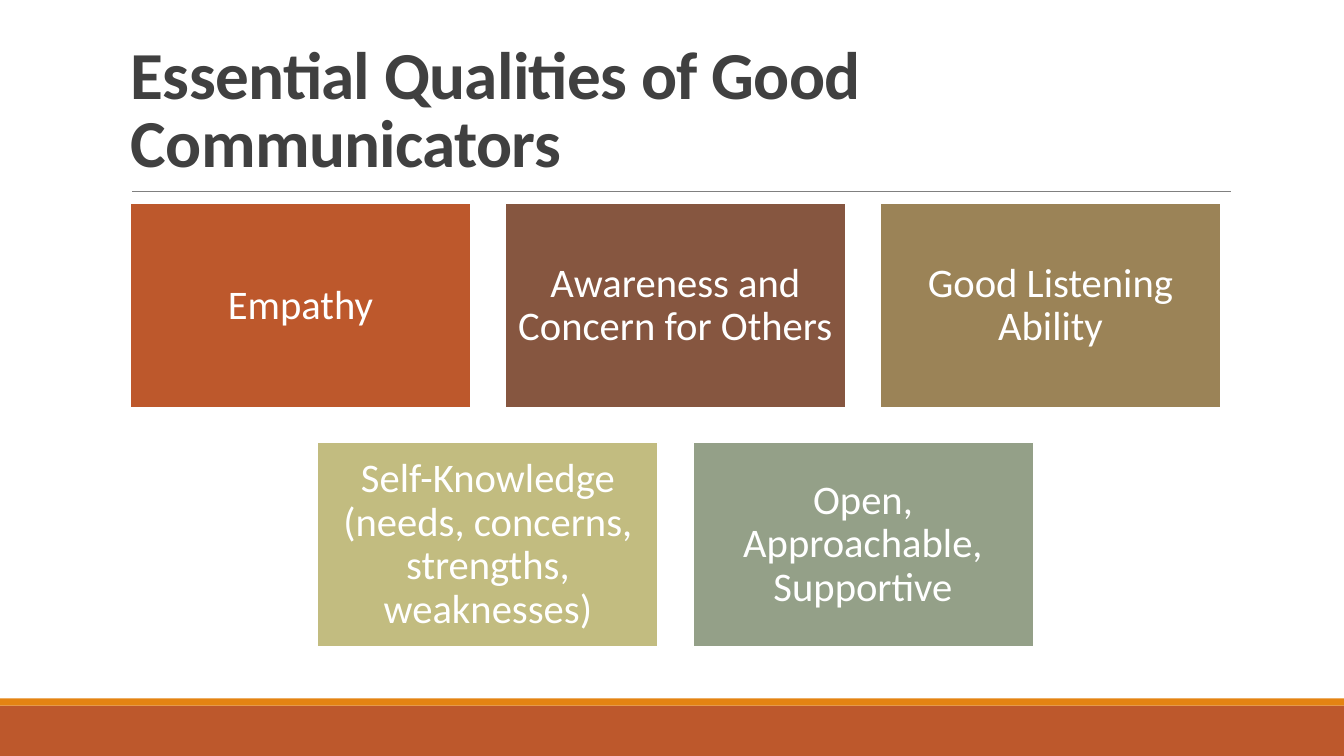
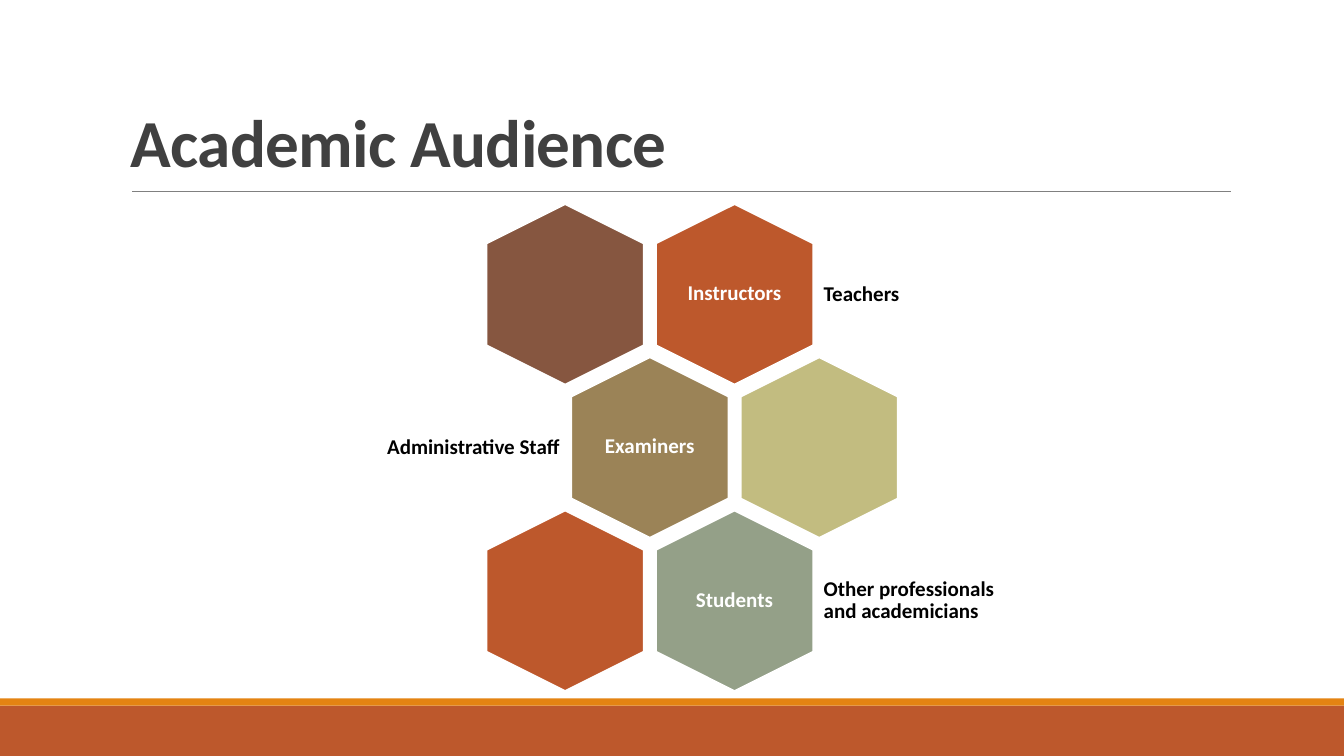
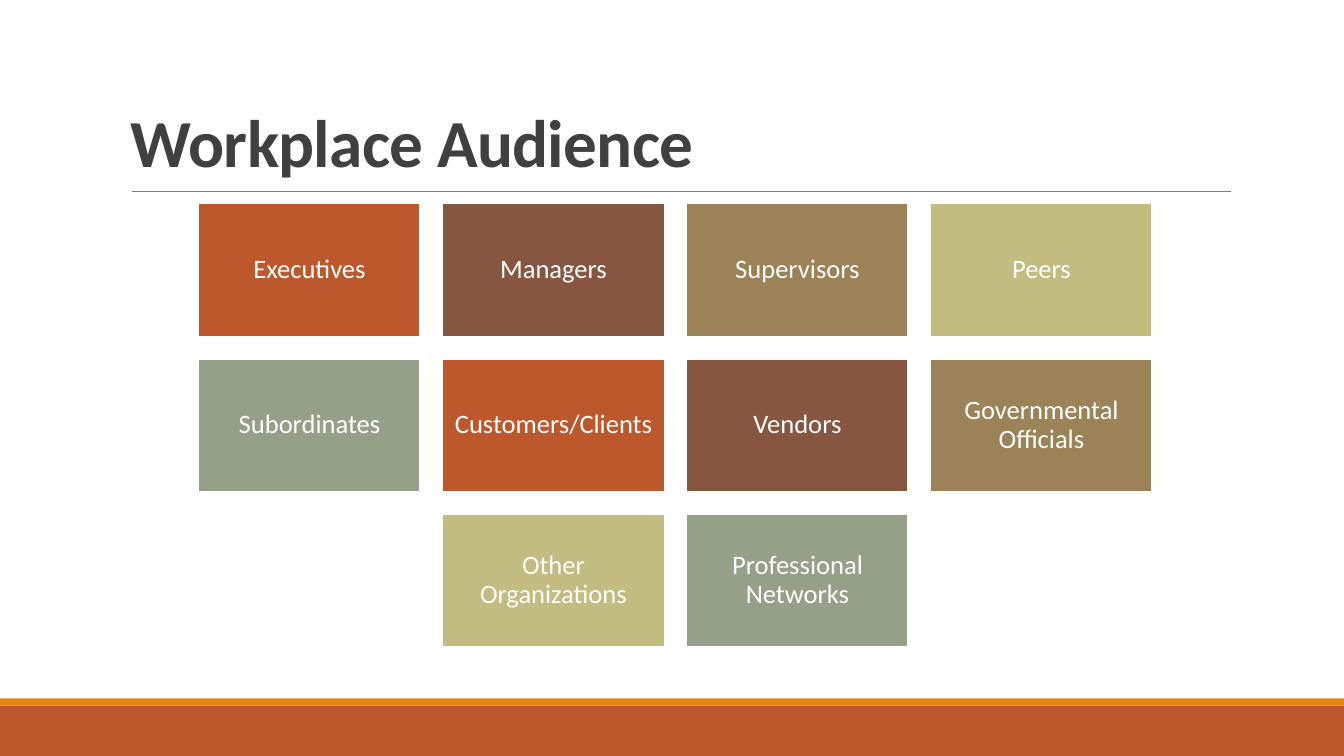
"""Builds three slides about communicators and their audiences."""
from itertools import cycle

from lxml import etree
from pptx import Presentation
from pptx.dml.color import RGBColor
from pptx.enum import shapes, text
from pptx.oxml import ns
from pptx.util import Pt

PX = 9144
SLIDE_WIDTH, SLIDE_HEIGHT = 1333, 750
FONT = "Calibri"
RUST, BROWN, TAN, OLIVE, SAGE = PALETTE = (
    "BD582C", "865640", "9B8357", "C2BC80", "94A088")
ORANGE, WHITE, BLACK = "E48312", "FFFFFF", "000000"
TITLE_COLOR, RULE_COLOR = "404040", "808080"

GRID_CENTER, GRID_TOP = 670, 202
HEXAGON_LENGTH, HEXAGON_WIDTH = 179, 156
HEXAGON_LEFT, HEXAGON_TOP = 560, 292
HEXAGON_STEP, HEXAGON_ROW_STEP = 168, 152
LABEL_WIDTH, LABEL_HEIGHT, LABEL_OFFSET = 200, 108, 83

QUALITIES = [
    ["Empathy", "Awareness and Concern for Others", "Good Listening Ability"],
    ["Self-Knowledge (needs, concerns, strengths, weaknesses)",
     "Open, Approachable, Supportive"],
]
WORKPLACE = [
    ["Executives", "Managers", "Supervisors", "Peers"],
    ["Subordinates", "Customers/Clients", "Vendors", "Governmental Officials"],
    ["Other Organizations", "Professional Networks"],
]
ACADEMIC = [
    [(BROWN, ""), (RUST, "Instructors")],
    [(TAN, "Examiners"), (OLIVE, "")],
    [(RUST, ""), (SAGE, "Students")],
]
ACADEMIC_LABELS = ["Teachers", "Administrative Staff",
                   "Other professionals and academicians"]


def color(value):
    """Turn a hex string into a colour."""
    return RGBColor.from_string(value)


def box(*lengths):
    """Turn pixel lengths into EMU."""
    return [length * PX for length in lengths]


def write(shape, words, size, ink, align=text.PP_ALIGN.CENTER, bold=False,
          margin=6, anchor=text.MSO_ANCHOR.MIDDLE, line_spacing=0.9):
    """Fill a shape with one formatted paragraph and return its run."""
    frame = shape.text_frame
    frame.word_wrap = True
    frame.vertical_anchor = anchor
    frame.margin_left = frame.margin_right = margin * PX
    frame.margin_top = frame.margin_bottom = margin * PX
    frame.text = words
    paragraph = frame.paragraphs[0]
    paragraph.alignment = align
    paragraph.line_spacing = line_spacing
    run = paragraph.runs[0]
    run.font.name = FONT
    run.font.size = Pt(size)
    run.font.bold = bold
    run.font.color.rgb = color(ink)
    return run


def add_block(slide, kind, place, fill, outline=None):
    """Add a filled preset shape, outlined when a colour is given."""
    shape = slide.shapes.add_shape(kind, *box(*place))
    shape.shadow.inherit = False
    shape.fill.solid()
    shape.fill.fore_color.rgb = color(fill)
    if outline:
        shape.line.color.rgb = color(outline)
        shape.line.width = Pt(1.25)
    else:
        shape.line.fill.background()
    return shape


def add_text(slide, place, words, size, ink, **style):
    """Add a text box and return its run."""
    return write(slide.shapes.add_textbox(*box(*place)), words, size, ink, **style)


def add_titled_slide(presentation, title):
    """Add a blank slide with the footer bands, title and rule."""
    slide = presentation.slides.add_slide(presentation.slide_layouts[6])
    rectangle = shapes.MSO_SHAPE.RECTANGLE
    add_block(slide, rectangle, (0, 700, SLIDE_WIDTH, 50), RUST)
    add_block(slide, rectangle, (0, 693, SLIDE_WIDTH, 7), ORANGE)
    rule = slide.shapes.add_connector(
        shapes.MSO_CONNECTOR.STRAIGHT, *box(131, 190, 1221, 190))
    rule.line.color.rgb = color(RULE_COLOR)
    rule.line.width = Pt(0.5)
    etree.SubElement(rule._element.spPr, ns.qn("a:effectLst"))
    run = add_text(slide, (120, 31, 1100, 159), title, 48, TITLE_COLOR,
                   align=text.PP_ALIGN.LEFT, bold=True, margin=10,
                   anchor=text.MSO_ANCHOR.BOTTOM, line_spacing=0.85)
    run.font._element.set("spc", "-50")
    return slide


def add_tiles(slide, rows, width, height, gap, size, margin):
    """Add centred rows of tiles in the cycling palette."""
    fills = cycle(PALETTE)
    for row, names in enumerate(rows):
        row_width = len(names) * (width + gap) - gap
        top = GRID_TOP + row * (height + gap)
        for column, name in enumerate(names):
            left = GRID_CENTER - row_width // 2 + column * (width + gap)
            tile = add_block(slide, shapes.MSO_SHAPE.RECTANGLE,
                             (left, top, width, height), next(fills), WHITE)
            write(tile, name, size, WHITE, margin=margin)


def add_hexagon(slide, center_x, center_y, fill, name):
    """Add an upright hexagon with an optional name inside."""
    place = (center_x - HEXAGON_LENGTH // 2, center_y - HEXAGON_WIDTH // 2,
             HEXAGON_LENGTH, HEXAGON_WIDTH)
    add_block(slide, shapes.MSO_SHAPE.HEXAGON, place, fill, WHITE).rotation = 90
    if name:
        add_text(slide, (center_x - 53, center_y - 62, 107, 123), name, 15,
                 WHITE, bold=True)


def add_honeycomb(slide):
    """Add staggered hexagon rows with labels on alternating sides."""
    for row, (cells, label) in enumerate(zip(ACADEMIC, ACADEMIC_LABELS)):
        shifted = row % 2
        first_x = HEXAGON_LEFT + shifted * HEXAGON_STEP // 2
        center_y = HEXAGON_TOP + row * HEXAGON_ROW_STEP
        for column, (fill, name) in enumerate(cells):
            add_hexagon(slide, first_x + column * HEXAGON_STEP, center_y, fill, name)
        if shifted:
            left = first_x - LABEL_OFFSET - LABEL_WIDTH
            align = text.PP_ALIGN.RIGHT
        else:
            left = first_x + HEXAGON_STEP + LABEL_OFFSET
            align = text.PP_ALIGN.LEFT
        place = (left, center_y - LABEL_HEIGHT // 2, LABEL_WIDTH, LABEL_HEIGHT)
        add_text(slide, place, label, 15, BLACK, align=align, bold=True)


def main():
    """Build and save the presentation."""
    presentation = Presentation()
    presentation.slide_width, presentation.slide_height = box(
        SLIDE_WIDTH, SLIDE_HEIGHT)
    qualities = add_titled_slide(
        presentation, "Essential Qualities of Good Communicators")
    add_tiles(qualities, QUALITIES, width=338, height=203, gap=34, size=29, margin=12)
    add_honeycomb(add_titled_slide(presentation, "Academic Audience"))
    workplace = add_titled_slide(presentation, "Workplace Audience")
    add_tiles(workplace, WORKPLACE, width=220, height=132, gap=22, size=19, margin=8)
    presentation.save("out.pptx")


if __name__ == "__main__":
    main()
